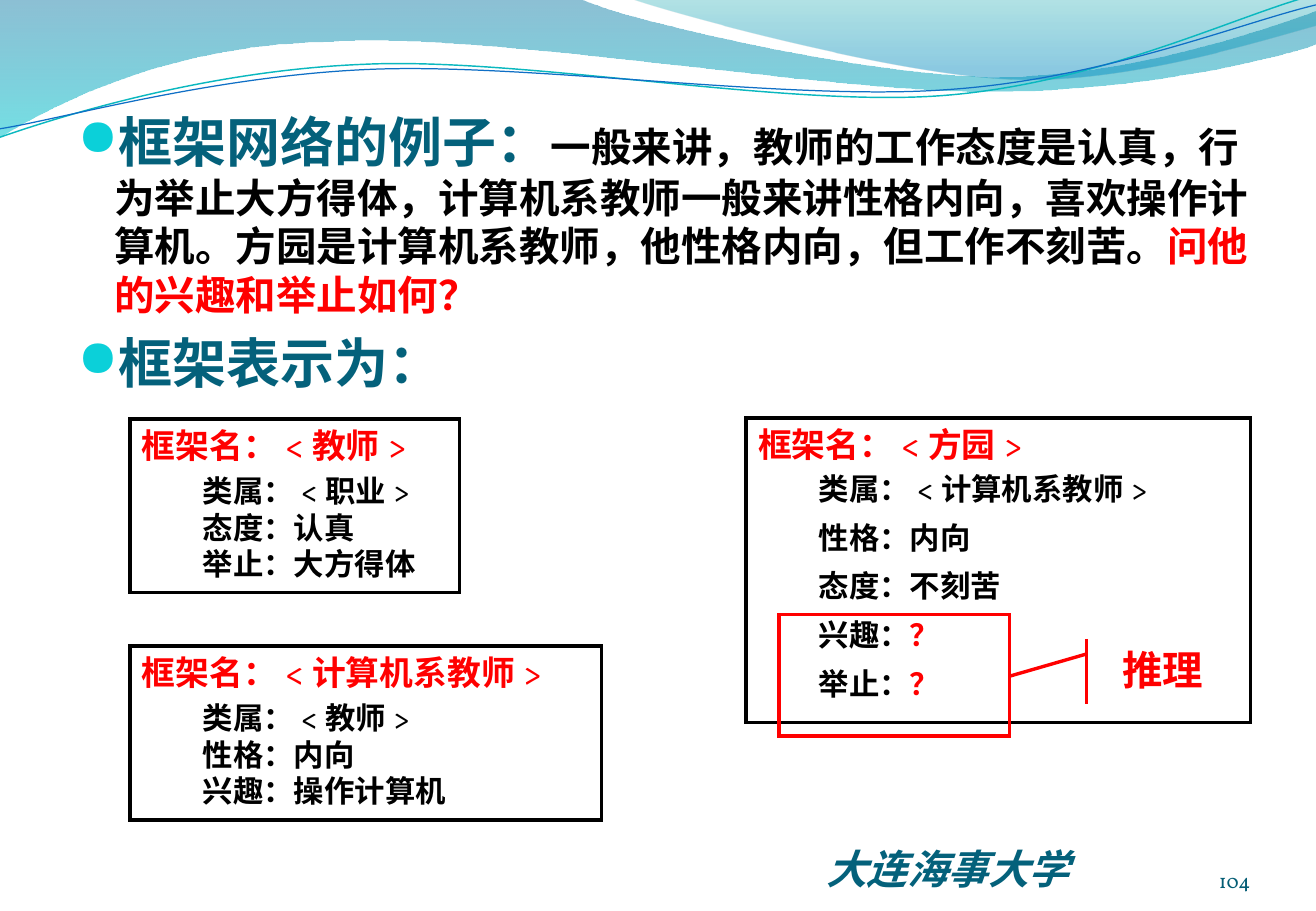
from pptx import Presentation
from pptx.dml.color import RGBColor as Rgb
from pptx.enum.shapes import MSO_SHAPE as Shape
from pptx.enum.text import MSO_ANCHOR as Anchor, MSO_AUTO_SIZE as AutoSize, PP_ALIGN as Align
from pptx.oxml.ns import qn
from pptx.util import Pt
from lxml.etree import SubElement

EMU_PER_PX = 9144
COLORS = {
    "black": "000000", "red": "FF0000", "teal": "04617B", "number": "045D75",
    "bullet": "0BD0D9", "aqua": "0AB8BF", "blue": "0F6FC6",
    "deep": "0074A1", "cyan": "00C6CF", "sea": "00A1A9", "sky": "008BBF",
}
SERIF = "Vollkorn"

BANDS = [
    ([(0, 0), (477, -1), (515, 17, 719, 63, 822, 63), (924, 63, 1038, 26, 1083, 9),
      (1084, 36), (1065, 44, 942, 76, 808, 75), (674, 75, 414, 28, 279, 34),
      (140, 36, 50, 83, -1, 113)], [("deep", 0, 45), ("cyan", 1, 55)]),
    ([(519, -1), (552, 11, 739, 62, 833, 65), (927, 69, 1042, 32, 1083, 21), (1083, 0)],
     [("sea", 0, 30), ("sky", 0.8, 45)]),
]
WAVES = [
    ([(0, 113), (52, 95, 171, 58, 300, 53), (428, 47, 642, 88, 772, 79),
      (902, 70, 1017, 13, 1081, -4)], "aqua", 0.85),
    ([(0, 106), (51, 98, 177, 62, 307, 57), (436, 52, 647, 83, 776, 74),
      (906, 66, 1020, 19, 1083, 4)], "blue", 0.75),
]
FRAMES = [
    ((107, 345, 271, 143), "框架名：<教师>", 4, 0,
     [("类属：<职业>",), ("态度：认真",), ("举止：大方得体",)]),
    ((107, 532, 388, 143), "框架名：<计算机系教师>", 4, 0,
     [("类属：<教师>",), ("性格：内向",), ("兴趣：操作计算机",)]),
    ((614, 344, 415, 251), "框架名：<方园>", 0, 3.6,
     [("类属：<计算机系教师>",), ("性格：内向",), ("态度：不刻苦",),
      ("兴趣：", "？"), ("举止：", "？")]),
]
BODY = [
    [("框架网络的例子：", 32, SERIF, "teal"),
     ("一般来讲，教师的工作态度是认真，行为举止大方得体，计算机系教师一般来讲性格内向，"
      "喜欢操作计算机。方园是计算机系教师，他性格内向，但工作不刻苦。",
      24, "Times New Roman", "black"),
     ("问他的兴趣和举止如何？", 24, "Times New Roman", "red")],
    [("框架表示为：", 32, SERIF, "teal")],
]


def px(value):
    """Turn pixels into EMU."""
    return round(value * EMU_PER_PX)


def color(name):
    """Look up a named colour."""
    return Rgb.from_string(COLORS[name])


def add_outline(page, steps, close):
    """Draw an outline of corners and cubic curves without shadow."""
    knots = [step[at:at + 2] for step in steps for at in range(0, len(step), 2)]
    builder = page.shapes.build_freeform(*knots[0], scale=EMU_PER_PX)
    builder.add_line_segments(knots[1:], close=close)
    outline = builder.convert_to_shape()
    outline.shadow.inherit = False
    segments = iter(list(outline._element.iter(qn("a:lnTo"))))
    for step in steps[1:]:
        first = next(segments)
        if len(step) == 6:
            first.tag = qn("a:cubicBezTo")
            for _ in range(2):
                extra = next(segments)
                first.append(extra[0])
                extra.getparent().remove(extra)
    return outline


def add_band(page, steps, stops):
    """Draw a translucent band with a vertical gradient."""
    band = add_outline(page, steps, True)
    band.line.fill.background()
    band.fill.gradient()
    band.fill.gradient_angle = 270
    for stop, (name, position, _) in zip(band.fill.gradient_stops, stops):
        stop.color.rgb = color(name)
        stop.position = position
    tints = band._element.spPr.iter(qn("a:srgbClr"))
    for tint, (_, _, opacity) in zip(tints, stops):
        SubElement(tint, qn("a:alpha"), val=str(opacity * 1000))


def set_line(shape, name, width):
    """Give a shape a plain line with sharp corners and no fill."""
    shape.fill.background()
    shape.line.color.rgb = color(name)
    shape.line.width = Pt(width)
    SubElement(shape._element.spPr.find(qn("a:ln")), qn("a:miter"), lim="800000")


def add_outlined(page, kind, bounds, name):
    """Add an unfilled preset shape whose text starts at the top."""
    shape = page.shapes.add_shape(kind, *map(px, bounds))
    shape.shadow.inherit = False
    set_line(shape, name, 2)
    shape.text_frame.word_wrap = True
    shape.text_frame.vertical_anchor = Anchor.TOP
    return shape


def add_text_box(page, bounds):
    """Add a wrapping text box and return its frame."""
    box = page.shapes.add_textbox(*map(px, bounds))
    box.text_frame.word_wrap = True
    return box.text_frame


def add_span(para, text, size, font, name, bold=True, italic=False):
    """Append a formatted run."""
    span = para.add_run()
    span.text = text
    span.font.size = Pt(size)
    span.font.name = font
    span.font.bold = bold
    span.font.italic = italic
    span.font.color.rgb = color(name)


def set_bullet(para):
    """Give a paragraph a round hanging bullet."""
    props = para._p.get_or_add_pPr()
    props.set("marL", str(px(30)))
    props.set("indent", str(px(-30)))
    tint = SubElement(props, qn("a:buClr"))
    SubElement(tint, qn("a:srgbClr"), val=COLORS["bullet"])
    SubElement(props, qn("a:buSzPct"), val="95000")
    SubElement(props, qn("a:buFont"), typeface="OpenSymbol")
    SubElement(props, qn("a:buChar"), char="●")


def add_body(page):
    """Add the bulleted question."""
    frame = add_text_box(page, (54, 84, 984, 608))
    for index, spans in enumerate(BODY):
        para = frame.add_paragraph() if index else frame.paragraphs[0]
        set_bullet(para)
        if index:
            para.space_before = Pt(6.4)
        for span in spans:
            add_span(para, *span)


def add_frame(page, bounds, title, title_gap, slot_gap, slots):
    """Add a knowledge frame with its title and indented slots."""
    text_frame = add_outlined(page, Shape.RECTANGLE, bounds, "black").text_frame
    text_frame.auto_size = AutoSize.SHAPE_TO_FIT_TEXT
    heading = text_frame.paragraphs[0]
    heading.alignment = Align.LEFT
    heading.space_after = Pt(title_gap)
    add_span(heading, title, 20, SERIF, "red")
    for slot in slots:
        para = text_frame.add_paragraph()
        para.alignment = Align.LEFT
        para._p.get_or_add_pPr().set("marL", str(px(50)))
        para.space_before = para.space_after = Pt(slot_gap)
        for text, name in zip(slot, ("black", "red")):
            add_span(para, text, 18, SERIF, name)


def add_callout(page):
    """Mark the unknown slots and label them as inference."""
    add_outlined(page, Shape.RECTANGLE, (641, 506, 190, 100), "red")
    callout = add_outlined(page, Shape.LINE_CALLOUT_1_ACCENT_BAR, (903, 526, 108, 54), "red")
    for index, value in enumerate((0.23, -0.08, 0.57, -0.67)):
        callout.adjustments[index] = value
    para = callout.text_frame.paragraphs[0]
    para.alignment = Align.CENTER
    add_span(para, "推理", 24, "Noto Sans CJK SC", "red")


def add_footer(page):
    """Add the university name and the page number."""
    school = add_text_box(page, (670, 690, 341, 51))
    school.auto_size = AutoSize.SHAPE_TO_FIT_TEXT
    add_span(school.paragraphs[0], "大连海事大学", 24, "Arial", "teal", italic=True)
    number = add_text_box(page, (939, 695, 90, 40))
    number.margin_left = number.margin_right = number.margin_top = number.margin_bottom = 0
    number.vertical_anchor = Anchor.BOTTOM
    number.paragraphs[0].alignment = Align.RIGHT
    add_span(number.paragraphs[0], "104", 12, SERIF, "number", bold=False)


def main():
    """Build the slide and save it."""
    deck = Presentation()
    deck.slide_width, deck.slide_height = px(1083), px(750)
    page = deck.slides.add_slide(deck.slide_layouts[6])
    for steps, stops in BANDS:
        add_band(page, steps, stops)
    for steps, name, width in WAVES:
        set_line(add_outline(page, steps, False), name, width)
    add_body(page)
    for frame in FRAMES:
        add_frame(page, *frame)
    add_callout(page)
    add_footer(page)
    deck.save("out.pptx")


if __name__ == "__main__":
    main()
